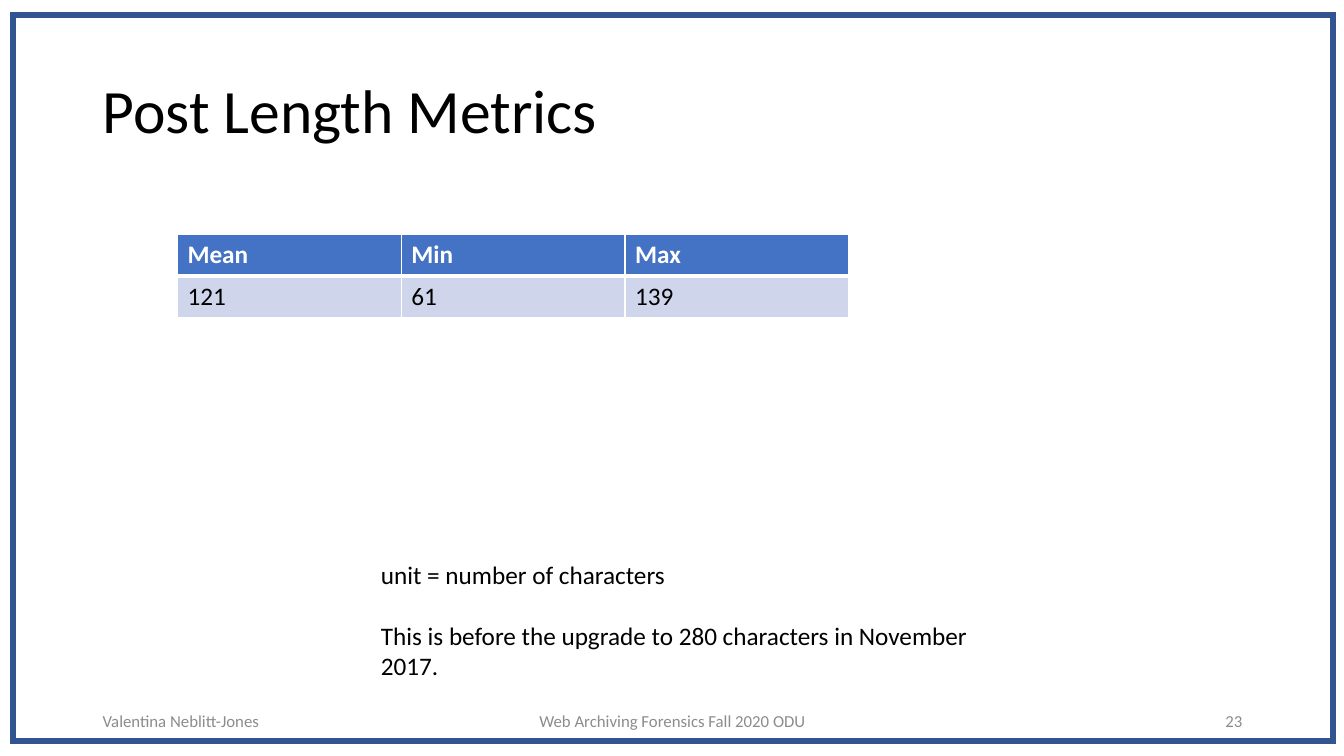
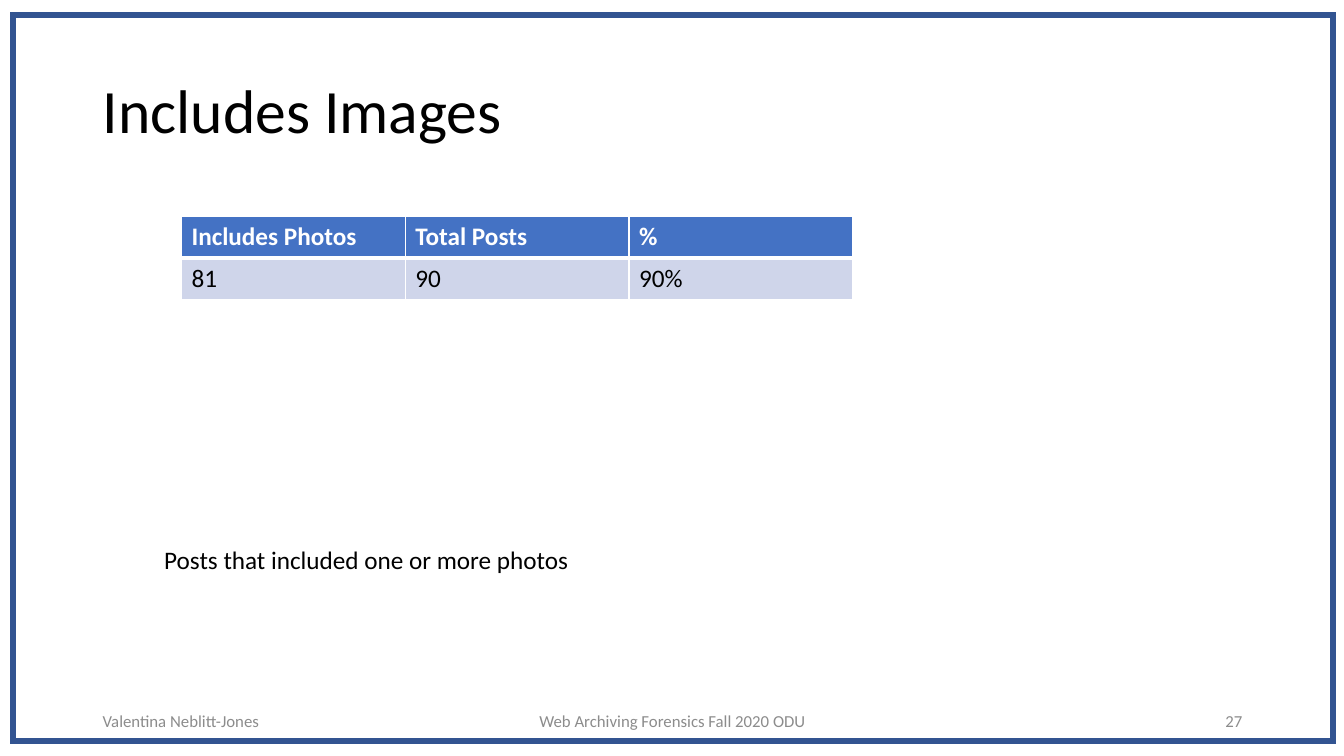
from lxml import etree
from pptx import Presentation
from pptx.dml.color import RGBColor
from pptx.enum.shapes import MSO_SHAPE
from pptx.enum.text import MSO_ANCHOR, PP_ALIGN
from pptx.oxml.ns import qn
from pptx.util import Inches, Pt

RECT = MSO_SHAPE.RECTANGLE
TOP, MIDDLE = MSO_ANCHOR.TOP, MSO_ANCHOR.MIDDLE
LEFT, CENTER, RIGHT = PP_ALIGN.LEFT, PP_ALIGN.CENTER, PP_ALIGN.RIGHT

BLACK = RGBColor(0x00, 0x00, 0x00)
WHITE = RGBColor(0xFF, 0xFF, 0xFF)
NAVY = RGBColor(0x32, 0x54, 0x91)
BLUE = RGBColor(0x44, 0x72, 0xC4)
PALE = RGBColor(0xCF, 0xD5, 0xEA)
GRAY = RGBColor(0x8C, 0x8C, 0x8C)

FONT = "Calibri"
TITLE_ONLY = 5
AUTHOR = "Valentina Neblitt-Jones"
COURSE = "Web Archiving Forensics Fall 2020 ODU"
COL, ROW = 2.22, 0.41


def style(para, size, color, bold=False, align=LEFT):
    para.alignment = align
    for run in para.runs:
        font = run.font
        font.name, font.size, font.bold = FONT, Pt(size), bold
        font.color.rgb = color


def inches(box):
    return [Inches(n) for n in box]


def add_text(slide, box, lines, size, color, align=LEFT, anchor=TOP, gap=0):
    frame = slide.shapes.add_textbox(*inches(box)).text_frame
    frame.word_wrap = True
    frame.vertical_anchor = anchor
    frame.text = "\n".join(lines)
    for i, para in enumerate(frame.paragraphs):
        style(para, size, color, align=align)
        if i:
            para.space_before = Pt(gap)


def add_frame(slide, box):
    frame = slide.shapes.add_shape(RECT, *inches(box))
    frame.shadow.inherit = False
    frame.fill.background()
    frame.line.color.rgb = NAVY
    frame.line.width = Pt(4.5)
    # Square corners
    etree.SubElement(frame.get_or_add_ln(), qn("a:miter"), lim="800000")


def set_title(slide, box, text):
    title = slide.shapes.title
    title.left, title.top, title.width, title.height = inches(box)
    title.text_frame.text = text
    title.text_frame.vertical_anchor = MIDDLE
    para = title.text_frame.paragraphs[0]
    para.line_spacing = 0.9
    style(para, 44, BLACK)


def add_footer(slide, top, number):
    parts = [
        (0.92, 3, AUTHOR, LEFT),
        (4.42, 4.5, COURSE, CENTER),
        (9.42, 3, str(number), RIGHT),
    ]
    for left, width, text, align in parts:
        add_text(slide, (left, top, width, 0.4), [text], 12, GRAY,
                 align, MIDDLE)


def set_edges(cell, widths):
    """Draw white cell borders, widths in points by side."""
    props = cell._tc.get_or_add_tcPr()
    for side, width in widths.items():
        line = etree.SubElement(props, qn("a:ln" + side), w=str(Pt(width)))
        fill = etree.SubElement(line, qn("a:solidFill"))
        etree.SubElement(fill, qn("a:srgbClr"), val=str(WHITE))


def add_grid(slide, left, top, rows):
    """Place a table with a header row and pale body rows."""
    count = len(rows[0])
    box = (left, top, COL * count, ROW * len(rows))
    table = slide.shapes.add_table(len(rows), count, *inches(box)).table
    for col in table.columns:
        col.width = Inches(COL)
    for r, row in enumerate(rows):
        table.rows[r].height = Inches(ROW)
        head = r == 0
        for c, text in enumerate(row):
            cell = table.cell(r, c)
            cell.text = text
            style(cell.text_frame.paragraphs[0], 18,
                  WHITE if head else BLACK, bold=head)
            # The rule under the header is thicker than the others
            set_edges(cell, {"L": 1, "R": 1, "T": 3 if r == 1 else 1,
                             "B": 3 if head else 1})
            cell.fill.solid()
            cell.fill.fore_color.rgb = BLUE if head else PALE


def add_slide(deck, title, number, spot, rows, box, note):
    slide = deck.slides.add_slide(deck.slide_layouts[TITLE_ONLY])
    # Shared parts
    add_frame(slide, (0.13, 0.15, 13.09, 7.2))
    set_title(slide, (0.92, 0.4, 11.5, 1.45), title)
    add_footer(slide, 6.95, number)
    # Table and note
    add_grid(slide, *spot, rows)
    add_text(slide, box, note, 18, BLACK, gap=22)


def main():
    deck = Presentation()
    deck.slide_width, deck.slide_height = Inches(13.33), Inches(7.5)
    add_slide(
        deck, "Post Length Metrics", 23, (1.76, 2.33),
        [["Mean", "Min", "Max"], ["121", "61", "139"]],
        (3.68, 5.5, 6.2, 1.31),
        ["unit = number of characters",
         "This is before the upgrade to 280 characters in November 2017."])
    add_slide(
        deck, "Includes Images", 27, (1.8, 2.15),
        [["Includes Photos", "Total Posts", "%"], ["81", "90", "90%"]],
        (1.53, 5.35, 4.95, 0.4),
        ["Posts that included one or more photos"])
    deck.save("out.pptx")


if __name__ == "__main__":
    main()
